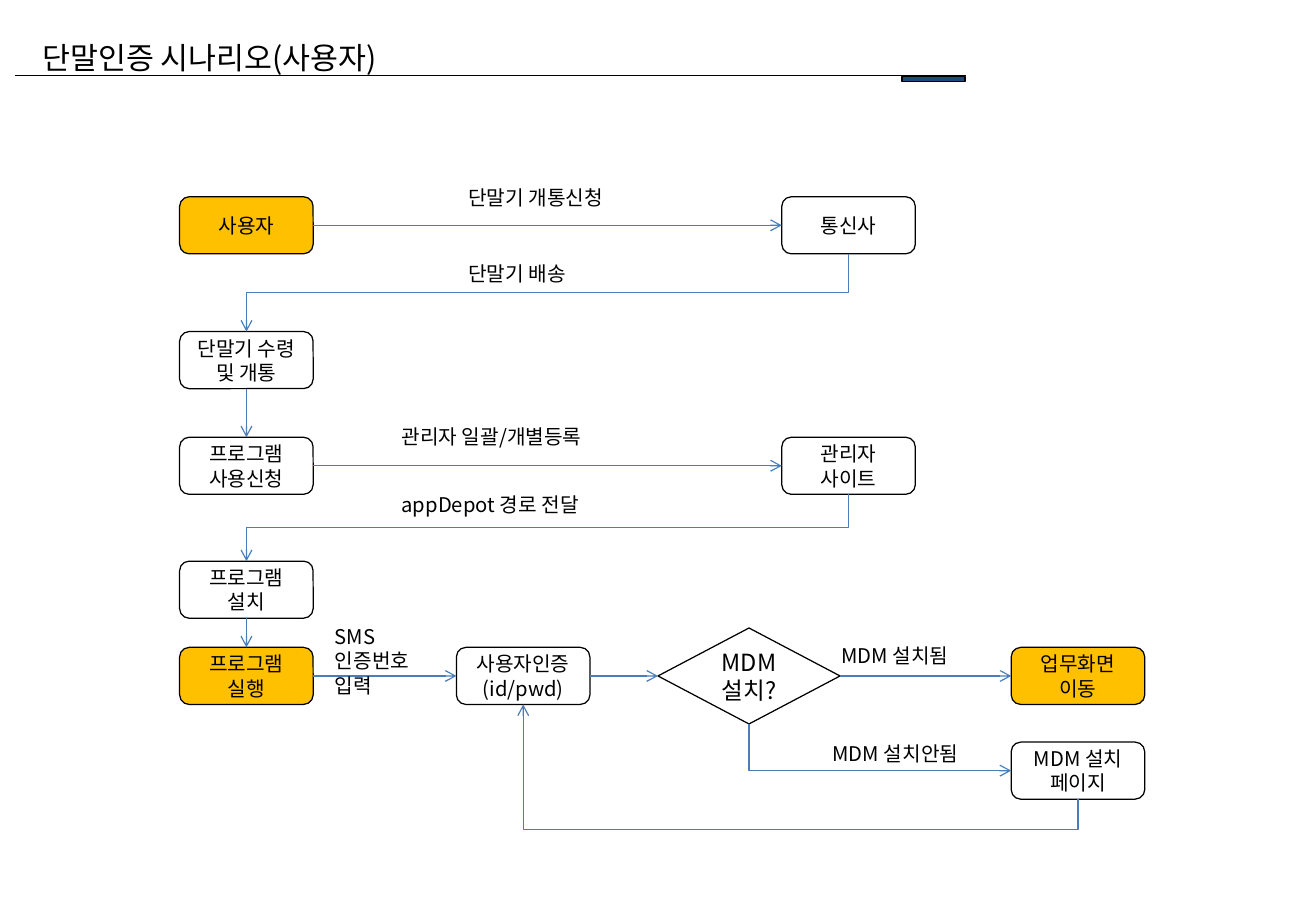
from dataclasses import dataclass

from lxml.etree import SubElement
from pptx import Presentation
from pptx.dml.color import RGBColor
from pptx.enum.shapes import MSO_CONNECTOR, MSO_SHAPE
from pptx.enum.text import MSO_ANCHOR, MSO_AUTO_SIZE, PP_ALIGN
from pptx.oxml.ns import qn
from pptx.shapes.autoshape import Shape
from pptx.shapes.connector import Connector
from pptx.shapes.shapetree import SlideShapes
from pptx.util import Inches, Pt

ROUND, RECT = MSO_SHAPE.ROUNDED_RECTANGLE, MSO_SHAPE.RECTANGLE
DIAMOND = MSO_SHAPE.FLOWCHART_DECISION
STRAIGHT, ELBOW = MSO_CONNECTOR.STRAIGHT, MSO_CONNECTOR.ELBOW
LEFT, CENTER = PP_ALIGN.LEFT, PP_ALIGN.CENTER
MIDDLE = MSO_ANCHOR.MIDDLE
GROW = MSO_AUTO_SIZE.SHAPE_TO_FIT_TEXT
TOP, WEST, BOTTOM, EAST = range(4)


@dataclass(frozen=True)
class Theme:
    font: str = "Noto Sans CJK KR"
    ink: str = "000000"
    plain: str = "FFFFFF"
    accent: str = "FFC000"
    navy: str = "1F497D"
    flow: str = "4A7EBB"
    title: int = 18
    choice: int = 14
    body: int = 12
    line: float = 0.75


THEME = Theme()


@dataclass(frozen=True)
class Step:
    key: str
    text: str
    x: float
    y: float
    fill: str = THEME.plain
    w: float = 1.1
    h: float = 0.47
    kind: MSO_SHAPE = ROUND
    size: int = THEME.body


@dataclass(frozen=True)
class Arrow:
    start: str
    out: int
    end: str
    into: int
    bends: int = 0
    adj: int = 50000


@dataclass(frozen=True)
class Label:
    text: str
    x: float
    y: float
    w: float
    h: float = 0.3


COL_A, COL_B, COL_C, COL_D = 1.48, 3.76, 6.44, 8.33
ROW_A, ROW_B, ROW_C, ROW_D, ROW_E, ROW_F = 1.62, 2.73, 3.6, 4.62, 5.33, 6.11

STEPS = [
    Step("user", "사용자", COL_A, ROW_A, THEME.accent),
    Step("telco", "통신사", COL_C, ROW_A),
    Step("get", "단말기 수령 및 개통", COL_A, ROW_B),
    Step("apply", "프로그램 사용신청", COL_A, ROW_C),
    Step("admin", "관리자\n사이트", COL_C, ROW_C),
    Step("setup", "프로그램 설치", COL_A, ROW_D),
    Step("run", "프로그램 실행", COL_A, ROW_E, THEME.accent),
    Step("login", "사용자인증\n(id/pwd)", COL_B, ROW_E),
    Step("check", "MDM 설치?", 5.42, 5.17, THEME.plain, 1.5, 0.79, DIAMOND, THEME.choice),
    Step("work", "업무화면 이동", COL_D, ROW_E, THEME.accent),
    Step("page", "MDM 설치 페이지", COL_D, ROW_F),
]

ARROWS = [
    Arrow("user", EAST, "telco", WEST),
    Arrow("telco", BOTTOM, "get", TOP, 2),
    Arrow("get", BOTTOM, "apply", TOP),
    Arrow("apply", EAST, "admin", WEST),
    Arrow("admin", BOTTOM, "setup", TOP, 2),
    Arrow("setup", BOTTOM, "run", TOP),
    Arrow("run", EAST, "login", WEST),
    Arrow("login", EAST, "check", WEST),
    Arrow("check", EAST, "work", WEST),
    Arrow("check", BOTTOM, "page", WEST, 1),
    Arrow("page", BOTTOM, "login", BOTTOM, 2, -32000),
]

LABELS = [
    Label("단말기 개통신청", 3.76, 1.48, 1.65),
    Label("단말기 배송", 3.76, 2.1, 1.65),
    Label("관리자 일괄/개별등록", 3.21, 3.44, 1.89),
    Label("appDepot 경로 전달", 3.21, 4, 1.89),
    Label("MDM 설치됨", 6.83, 5.25, 1.42),
    Label("MDM 설치안됨", 6.76, 6.05, 1.42),
    Label("SMS인증번호 입력", 2.66, 5.09, 1.02, 0.7),
]


def rgb(code: str) -> RGBColor:
    return RGBColor.from_string(code)


def write(shape: Shape, text: str, *, size: int = THEME.body,
          align: PP_ALIGN = LEFT, wrap: bool = True) -> None:
    frame = shape.text_frame
    frame.word_wrap = wrap
    frame.text = text
    for para in frame.paragraphs:
        para.alignment = align
        for run in para.runs:
            run.font.size = Pt(size)
            run.font.name = THEME.font
            run.font.color.rgb = rgb(THEME.ink)
    # East Asian glyphs take their own font entry
    for props in shape.element.findall(f".//{qn('a:rPr')}"):
        SubElement(props, qn("a:ea"), typeface=THEME.font)


def block(shapes: SlideShapes, kind: MSO_SHAPE, x: float, y: float,
          w: float, h: float, fill: str) -> Shape:
    shape = shapes.add_shape(kind, Inches(x), Inches(y), Inches(w), Inches(h))
    shape.shadow.inherit = False
    shape.fill.solid()
    shape.fill.fore_color.rgb = rgb(fill)
    shape.line.color.rgb = rgb(THEME.ink)
    shape.line.width = Pt(THEME.line)
    return shape


def note(shapes: SlideShapes, item: Label, *, size: int = THEME.body,
         wrap: bool = True) -> None:
    box = shapes.add_textbox(Inches(item.x), Inches(item.y), Inches(item.w), Inches(item.h))
    write(box, item.text, size=size, wrap=wrap)
    box.text_frame.auto_size = GROW


def step(shapes: SlideShapes, item: Step) -> Shape:
    shape = block(shapes, item.kind, item.x, item.y, item.w, item.h, item.fill)
    write(shape, item.text, size=item.size, align=CENTER)
    shape.text_frame.vertical_anchor = MIDDLE
    return shape


def style(link: Connector, color: str) -> None:
    link.line.color.rgb = rgb(color)
    link.line.width = Pt(THEME.line)
    SubElement(link.element.spPr, qn("a:effectLst"))


def bend(link: Connector, item: Arrow) -> None:
    """Turn an elbow so that it leaves its first shape downwards."""
    dx, dy = link.end_x - link.begin_x, link.end_y - link.begin_y
    mid_x, mid_y = link.begin_x + dx // 2, link.begin_y + dy // 2
    link.width, link.height = abs(dy), abs(dx)
    link.left, link.top = mid_x - abs(dy) // 2, mid_y - abs(dx) // 2
    frame = link.element.spPr.find(qn("a:xfrm"))
    frame.set("rot", str((90 if dy > 0 else 270) * 60000))
    frame.set("flipH", "0")
    frame.set("flipV", str(int((dx > 0) == (dy > 0))))
    geom = link.element.spPr.find(qn("a:prstGeom"))
    geom.set("prst", f"bentConnector{item.bends + 1}")
    if item.bends == 2:
        SubElement(geom.find(qn("a:avLst")), qn("a:gd"), name="adj1", fmla=f"val {item.adj}")


def arrow(shapes: SlideShapes, item: Arrow, nodes: dict[str, Shape]) -> None:
    link = shapes.add_connector(ELBOW if item.bends else STRAIGHT, 0, 0, 0, 0)
    link.begin_connect(nodes[item.start], item.out)
    link.end_connect(nodes[item.end], item.into)
    if item.bends:
        bend(link, item)
    style(link, THEME.flow)
    SubElement(link.element.spPr.find(qn("a:ln")), qn("a:tailEnd"), type="arrow")


def main() -> None:
    deck = Presentation()
    deck.slide_width, deck.slide_height = Inches(10.84), Inches(7.5)
    shapes = deck.slides.add_slide(deck.slide_layouts[6]).shapes

    # Title with its rule
    note(shapes, Label("단말인증 시나리오(사용자)", 0.25, 0.27, 3.28, 0.4),
         size=THEME.title, wrap=False)
    rule = shapes.add_connector(STRAIGHT, Inches(0.12), Inches(0.62), Inches(7.96), Inches(0.62))
    style(rule, THEME.ink)
    block(shapes, RECT, 7.43, 0.63, 0.52, 0.04, THEME.navy)

    # Flow steps, arrows and arrow labels
    nodes = {item.key: step(shapes, item) for item in STEPS}
    for item in ARROWS:
        arrow(shapes, item, nodes)
    for item in LABELS:
        note(shapes, item)

    deck.save("out.pptx")


if __name__ == "__main__":
    main()
